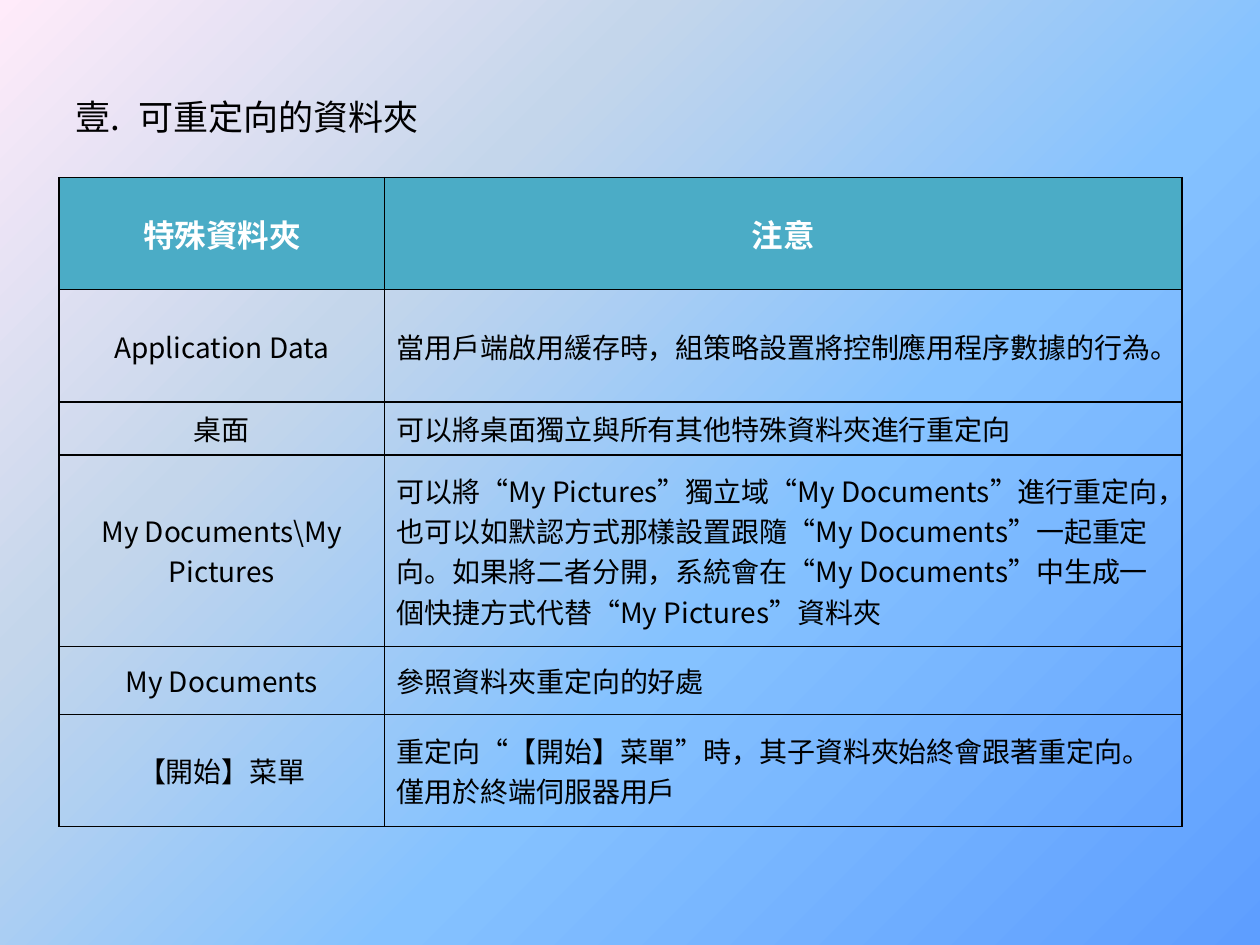
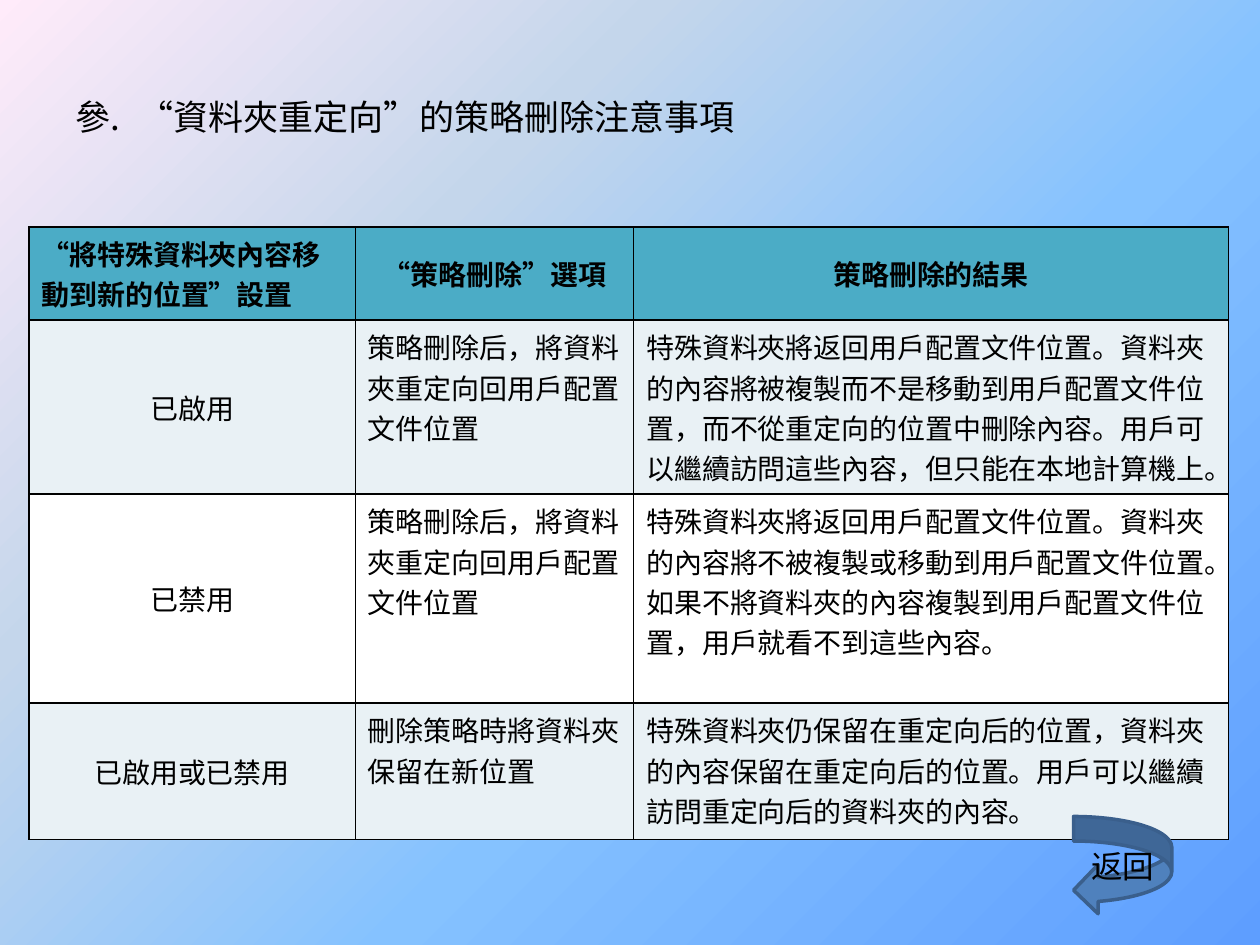
from dataclasses import dataclass

from lxml import etree
from pptx import Presentation
from pptx import util as u
from pptx.dml.color import RGBColor
from pptx.enum import shapes, text
from pptx.oxml import parse_xml
from pptx.oxml.ns import nsdecls, qn


@dataclass(frozen=True)
class Theme:
    """Colours, fonts and type sizes shared by the slides."""
    ink: str = "000000"
    white: str = "FFFFFF"
    header: str = "4BACC6"
    band: str = "E9F1F5"
    arrow: str = "4F81BD"
    arrow_edge: str = "3A5F8C"
    backdrop: tuple = ((0, "5E9EFF"), (40, "85C2FF"), (70, "C4D6EB"), (100, "FFEBFA"))
    cjk: str = "Noto Sans CJK SC"
    latin: str = "Calibri"
    title_size: int = 20
    large_size: int = 18
    body_size: int = 16


THEME = Theme()
LEFT, CENTER = text.PP_ALIGN.LEFT, text.PP_ALIGN.CENTER
TOP, MIDDLE = text.MSO_ANCHOR.TOP, text.MSO_ANCHOR.MIDDLE


@dataclass(frozen=True)
class CellStyle:
    """Look of one table cell; no fill lets the backdrop show."""
    fill: str = ""
    color: str = THEME.ink
    font: str = THEME.cjk
    size: int = THEME.body_size
    bold: bool = False
    align: int = LEFT
    anchor: int = MIDDLE


def paint_backdrop(master):
    """Put the corner-to-corner gradient on the master."""
    master.background.fill.gradient()
    stops = "".join(f'<a:gs pos="{pos * 1000}"><a:srgbClr val="{color}"/></a:gs>'
                    for pos, color in THEME.backdrop)
    gradient = parse_xml(
        f'<a:gradFill {nsdecls("a")} rotWithShape="1"><a:gsLst>{stops}</a:gsLst>'
        '<a:path path="circle"><a:fillToRect l="100000" t="100000"/></a:path>'
        '<a:tileRect r="-100000" b="-100000"/></a:gradFill>')
    plain = next(master.element.iter(qn("a:gradFill")))
    plain.getparent().replace(plain, gradient)


def add_run(paragraph, words, size, color, font, bold=False):
    """Add one run, using the font for Latin and East Asian text."""
    run = paragraph.add_run()
    run.text = words
    run.font.size, run.font.bold = u.Pt(size), bold
    run.font.color.rgb = RGBColor.from_string(color)
    run.font.name = font
    east_asian = THEME.cjk if font == THEME.latin else font
    etree.SubElement(run.font._element, qn("a:ea")).set("typeface", east_asian)


def add_titled_slide(prs, heading, number):
    """Add a slide with a title numbered in Chinese numerals."""
    slide = prs.slides.add_slide(prs.slide_layouts[5])
    title = slide.shapes.title
    title.left, title.top = int(prs.slide_width * 0.05), int(prs.slide_height * 0.04)
    title.width, title.height = int(prs.slide_width * 0.9), u.Inches(1.25)
    title.text_frame.vertical_anchor = MIDDLE
    paragraph = title.text_frame.paragraphs[0]
    paragraph.alignment = LEFT
    add_run(paragraph, heading, THEME.title_size, THEME.ink, THEME.cjk)
    properties = paragraph._p.get_or_add_pPr()
    properties.set("marL", str(u.Inches(0.5)))
    properties.set("indent", str(-u.Inches(0.5)))
    numbering = etree.SubElement(properties, qn("a:buAutoNum"))
    numbering.set("type", "ea1ChtPeriod")
    if number > 1:
        numbering.set("startAt", str(number))
    return slide


def fill_cell(cell, words, style):
    """Write, border and fill one cell."""
    cell.vertical_anchor = style.anchor
    paragraph = cell.text_frame.paragraphs[0]
    paragraph.alignment = style.align
    add_run(paragraph, words, style.size, style.color, style.font, style.bold)
    properties = cell._tc.get_or_add_tcPr()
    for side in "LRTB":
        properties.append(parse_xml(
            f'<a:ln{side} {nsdecls("a")} w="{u.Pt(1)}"><a:solidFill>'
            f'<a:srgbClr val="{THEME.ink}"/></a:solidFill></a:ln{side}>'))
    if style.fill:
        cell.fill.solid()
        cell.fill.fore_color.rgb = RGBColor.from_string(style.fill)
    else:
        cell.fill.background()


def add_grid(slide, left, top, widths, heights, rows, style_at):
    """Place a table; style_at(row, column) gives each cell's look."""
    frame = slide.shapes.add_table(
        len(heights), len(widths), u.Inches(left), u.Inches(top),
        u.Inches(sum(widths)), u.Inches(sum(heights)))
    grid = frame.table
    grid.first_row = grid.horz_banding = False
    for column, width in zip(grid.columns, widths):
        column.width = u.Inches(width)
    for row, height in zip(grid.rows, heights):
        row.height = u.Inches(height)
    for r, row in enumerate(rows):
        for c, words in enumerate(row):
            fill_cell(grid.cell(r, c), words, style_at(r, c))


def add_return_arrow(slide, left, top, side, label):
    """Place the curved arrow that leads back."""
    arrow = slide.shapes.add_shape(
        shapes.MSO_SHAPE.CURVED_LEFT_ARROW, u.Inches(left), u.Inches(top),
        u.Inches(side), u.Inches(side))
    arrow.shadow.inherit = False
    arrow.fill.solid()
    arrow.fill.fore_color.rgb = RGBColor.from_string(THEME.arrow)
    arrow.line.color.rgb = RGBColor.from_string(THEME.arrow_edge)
    arrow.line.width = u.Pt(2)
    arrow.text_frame.vertical_anchor = MIDDLE
    paragraph = arrow.text_frame.paragraphs[0]
    paragraph.alignment = CENTER
    add_run(paragraph, label, THEME.large_size, THEME.ink, THEME.latin)


def folder_style(row, column):
    """White-on-teal header; clear body with centred folder names."""
    if row == 0:
        return CellStyle(THEME.header, THEME.white, THEME.latin,
                         THEME.large_size, True, CENTER)
    return CellStyle(align=LEFT if column else CENTER)


def removal_style(row, column):
    """Teal header; banded body with centred settings."""
    if row == 0:
        return CellStyle(THEME.header, bold=True, align=CENTER if column else LEFT)
    fill = THEME.band if row % 2 else THEME.white
    if column == 0:
        return CellStyle(fill, font=THEME.latin, align=CENTER)
    return CellStyle(fill, font=THEME.latin, anchor=TOP)


FOLDERS = [
    ("特殊資料夾", "注意"),
    ("Application Data", "當用戶端啟用緩存時，組策略設置將控制應用程序數據的行為。"),
    ("桌面", "可以將桌面獨立與所有其他特殊資料夾進行重定向"),
    ("My Documents\\My Pictures",
     "可以將“My Pictures”獨立域“My Documents”進行重定向，也可以如默認方式那樣設置跟隨"
     "“My Documents”一起重定向。如果將二者分開，系統會在“My Documents”中生成一個快捷方式"
     "代替“My Pictures”資料夾"),
    ("My Documents", "參照資料夾重定向的好處"),
    ("【開始】菜單", "重定向“【開始】菜單”時，其子資料夾始終會跟著重定向。僅用於終端伺服器用戶"),
]
MOVE_BACK = "策略刪除后，將資料夾重定向回用戶配置文件位置"
REMOVALS = [
    ("“將特殊資料夾內容移動到新的位置”設置", "“策略刪除”選項", "策略刪除的結果"),
    ("已啟用", MOVE_BACK,
     "特殊資料夾將返回用戶配置文件位置。資料夾的內容將被複製而不是移動到用戶配置文件位置，"
     "而不從重定向的位置中刪除內容。用戶可以繼續訪問這些內容，但只能在本地計算機上。"),
    ("已禁用", MOVE_BACK,
     "特殊資料夾將返回用戶配置文件位置。資料夾的內容將不被複製或移動到用戶配置文件位置。"
     "如果不將資料夾的內容複製到用戶配置文件位置，用戶就看不到這些內容。"),
    ("已啟用或已禁用", "刪除策略時將資料夾保留在新位置",
     "特殊資料夾仍保留在重定向后的位置，資料夾的內容保留在重定向后的位置。"
     "用戶可以繼續訪問重定向后的資料夾的內容。"),
]


def main():
    """Build and save both slides."""
    prs = Presentation()
    prs.slide_width, prs.slide_height = u.Inches(10), u.Inches(7.5)
    paint_backdrop(prs.slide_master)

    folders = add_titled_slide(prs, "可重定向的資料夾", 1)
    add_grid(folders, 0.47, 1.41, (2.58, 6.33),
             (0.89, 0.89, 0.42, 1.52, 0.54, 0.89), FOLDERS, folder_style)

    removal = add_titled_slide(prs, "“資料夾重定向”的策略刪除注意事項", 3)
    add_grid(removal, 0.23, 1.8, (2.59, 2.21, 4.72),
             (0.74, 1.38, 1.66, 1.08), REMOVALS, removal_style)
    add_return_arrow(removal, 8.52, 6.48, 0.78, "返回")
    prs.save("out.pptx")


main()
